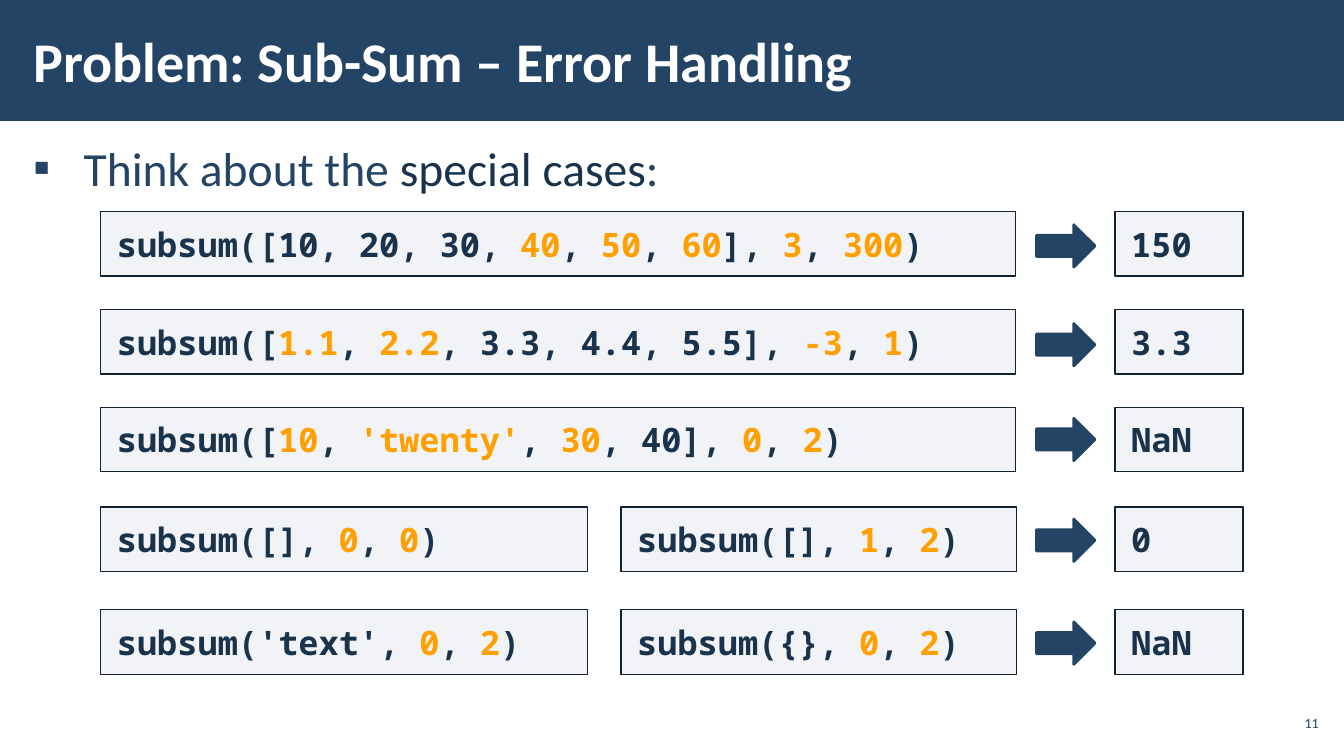
from dataclasses import dataclass

import lxml.etree
import pptx
import pptx.dml.color
import pptx.enum.shapes
import pptx.enum.text
import pptx.oxml.ns
import pptx.shapes.autoshape
import pptx.slide
import pptx.text.text
import pptx.util

EMU_PER_PX = 9144
NAVY, INK, ORANGE, WHITE = "234465", "1A334C", "FFA000", "FFFFFF"
CODE_FILL, CODE_LINE = "ADB4C3", "112233"
SANS, MONO = "Calibri", "Noto Sans Mono"
SHAPES = pptx.enum.shapes.MSO_SHAPE
ALIGN = pptx.enum.text.PP_ALIGN
ANCHOR = pptx.enum.text.MSO_ANCHOR


@dataclass(frozen=True)
class Box:
    """A rectangle in px."""

    left: int
    top: int
    width: int
    height: int

    def emu(self) -> list[int]:
        """Return left, top, width and height in EMU."""
        return [px(n) for n in (self.left, self.top, self.width, self.height)]


@dataclass(frozen=True)
class Case:
    """Calls that share one result; text between bars is highlighted."""

    top: int
    arrow_top: int
    calls: tuple[str, ...]
    result: str


CASES = (
    Case(210, 223, ("subsum([10, 20, 30, |40|, |50|, |60|], |3|, |300|)",), "150"),
    Case(307, 321, ("subsum([|1.1|, |2.2|, 3.3, 4.4, 5.5], |-3|, |1|)",), "3.3"),
    Case(404, 415, ("subsum([|10|, |'twenty'|, |30|, 40], |0|, |2|)",), "NaN"),
    Case(503, 515, ("subsum([], |0|, |0|)", "subsum([], |1|, |2|)"), "0"),
    Case(605, 617, ("subsum('text', |0|, |2|)", "subsum({}, |0|, |2|)"), "NaN"),
)
CALL_COLUMNS = {1: ((100, 907),), 2: ((100, 483), (616, 392))}
CODE_HEIGHT = 64


def px(length: int) -> int:
    """Turn px into EMU."""
    return pptx.util.Emu(length * EMU_PER_PX)


def rgb(colour: str) -> pptx.dml.color.RGBColor:
    """Turn a hex string into a colour."""
    return pptx.dml.color.RGBColor.from_string(colour)


def set_frame(frame: pptx.text.text.TextFrame, side: int, edge: int,
              anchor: pptx.enum.text.MSO_ANCHOR) -> None:
    """Set the insets, wrapping and anchor of a text frame."""
    frame.margin_left = frame.margin_right = px(side)
    frame.margin_top = frame.margin_bottom = px(edge)
    frame.word_wrap = True
    frame.auto_size = pptx.enum.text.MSO_AUTO_SIZE.NONE
    frame.vertical_anchor = anchor


def add_run(paragraph: pptx.text.text._Paragraph, text: str, size: int,
            colour: str, face: str = SANS, bold: bool = False) -> None:
    """Append one formatted run."""
    run = paragraph.add_run()
    run.text = text
    run.font.name = face
    run.font.size = pptx.util.Pt(size)
    run.font.bold = bold
    run.font.color.rgb = rgb(colour)


def add_block(slide: pptx.slide.Slide, kind: pptx.enum.shapes.MSO_SHAPE, box: Box,
              fill: str, line: str, line_width: int) -> pptx.shapes.autoshape.Shape:
    """Add a filled and outlined shape without a shadow."""
    block = slide.shapes.add_shape(kind, *box.emu())
    block.shadow.inherit = False
    block.fill.solid()
    block.fill.fore_color.rgb = rgb(fill)
    block.line.color.rgb = rgb(line)
    block.line.width = pptx.util.Pt(line_width)
    return block


def add_code(slide: pptx.slide.Slide, box: Box, code: str) -> None:
    """Add a pale code box with highlighted parts."""
    block = add_block(slide, SHAPES.RECTANGLE, box, CODE_FILL, CODE_LINE, 1)
    tint = block.element.spPr.find(
        f"{pptx.oxml.ns.qn('a:solidFill')}/{pptx.oxml.ns.qn('a:srgbClr')}")
    lxml.etree.SubElement(tint, pptx.oxml.ns.qn("a:alpha"), val="15000")
    set_frame(block.text_frame, 16, 12, ANCHOR.MIDDLE)
    paragraph = block.text_frame.paragraphs[0]
    paragraph.alignment = ALIGN.LEFT
    for index, part in enumerate(code.split("|")):
        add_run(paragraph, part, 24, ORANGE if index % 2 else INK, MONO, True)


def add_case(slide: pptx.slide.Slide, case: Case) -> None:
    """Add the calls, the arrow and the result of one case."""
    for (left, width), call in zip(CALL_COLUMNS[len(case.calls)], case.calls):
        add_code(slide, Box(left, case.top, width, CODE_HEIGHT), call)
    add_block(slide, SHAPES.RIGHT_ARROW, Box(1028, case.arrow_top, 58, 42), NAVY, NAVY, 2)
    add_code(slide, Box(1106, case.top, 127, CODE_HEIGHT), case.result)


def add_heading(slide: pptx.slide.Slide) -> None:
    """Place the title on its banner."""
    title = slide.shapes.title
    banner = add_block(slide, SHAPES.RECTANGLE, Box(0, 0, 1333, 120), NAVY, NAVY, 1)
    banner.line.fill.background()
    title.element.addprevious(banner.element)
    title.left, title.top, title.width, title.height = Box(21, 11, 1039, 97).emu()
    set_frame(title.text_frame, 12, 4, ANCHOR.MIDDLE)
    paragraph = title.text_frame.paragraphs[0]
    paragraph.alignment = ALIGN.LEFT
    add_run(paragraph, "Problem: Sub-Sum – Error Handling", 40, WHITE, bold=True)


def add_prompt(slide: pptx.slide.Slide) -> None:
    """Add the bulleted prompt above the cases."""
    prompt = slide.shapes.add_textbox(*Box(21, 131, 1292, 569).emu())
    set_frame(prompt.text_frame, 12, 4, ANCHOR.TOP)
    paragraph = prompt.text_frame.paragraphs[0]
    properties = paragraph._p.get_or_add_pPr()
    properties.set("marL", str(px(50)))
    properties.set("indent", str(px(-50)))
    lxml.etree.SubElement(properties, pptx.oxml.ns.qn("a:buFont"), typeface=SANS)
    lxml.etree.SubElement(properties, pptx.oxml.ns.qn("a:buChar"), char="▪")
    paragraph.line_spacing = 1.05
    paragraph.space_after = pptx.util.Pt(6)
    for text, colour in (("Think about the ", NAVY), ("special cases", INK), (":", NAVY)):
        add_run(paragraph, text, 34, colour)


def add_page_number(slide: pptx.slide.Slide) -> None:
    """Add the page number in the lower right corner."""
    number = slide.shapes.add_textbox(*Box(1265, 700, 47, 34).emu())
    set_frame(number.text_frame, 4, 4, ANCHOR.MIDDLE)
    paragraph = number.text_frame.paragraphs[0]
    paragraph.alignment = ALIGN.RIGHT
    add_run(paragraph, "11", 10, NAVY)


def main() -> None:
    """Build and save the slide."""
    deck = pptx.Presentation()
    deck.slide_width, deck.slide_height = px(1333), px(750)
    slide = deck.slides.add_slide(deck.slide_layouts[5])
    add_heading(slide)
    add_prompt(slide)
    add_page_number(slide)
    for case in CASES:
        add_case(slide, case)
    deck.save("out.pptx")


if __name__ == "__main__":
    main()
